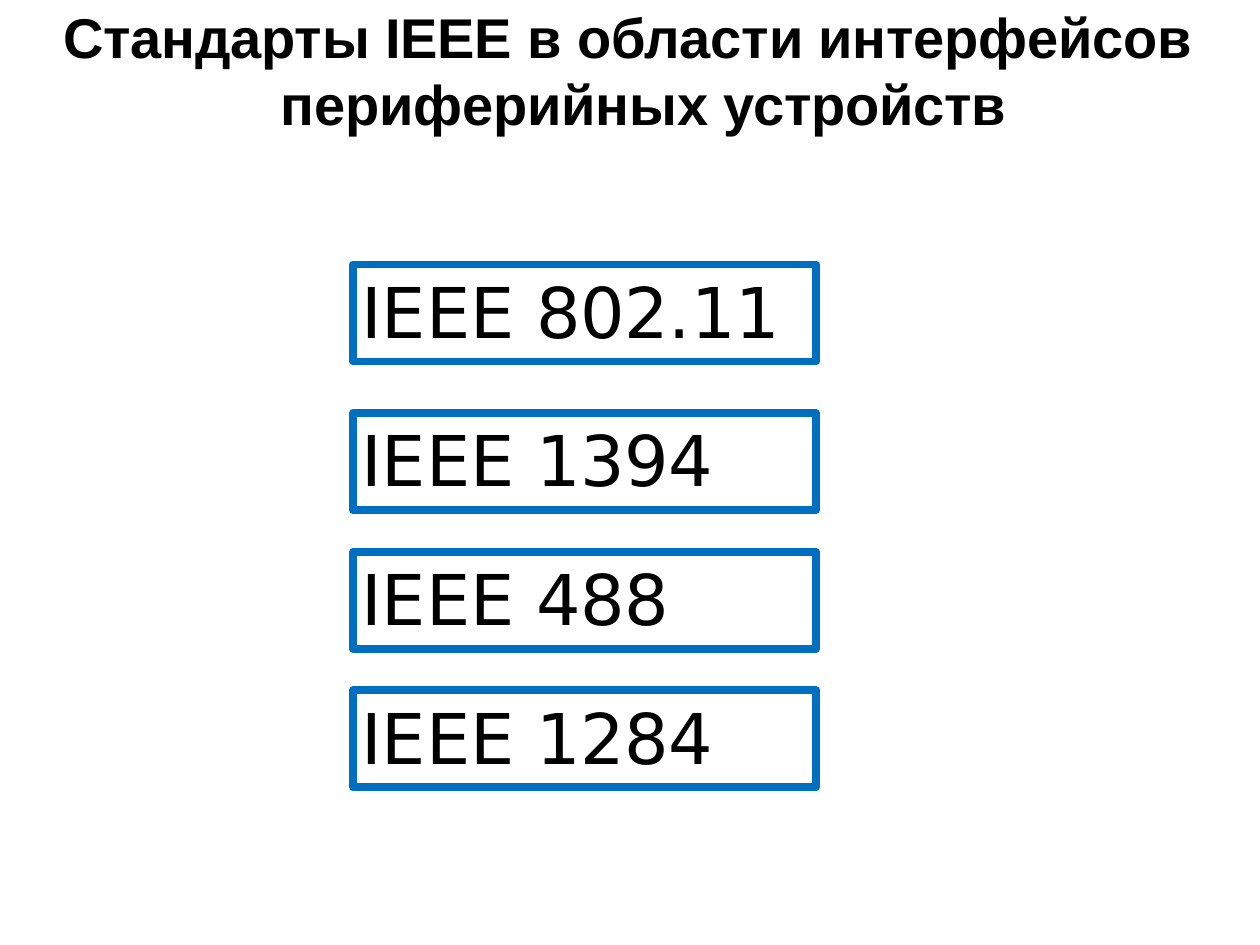
from pptx import Presentation
from pptx.dml.color import RGBColor
from pptx.enum.shapes import MSO_SHAPE
from pptx.enum.text import MSO_ANCHOR, PP_ALIGN
from pptx.util import Inches, Pt

RECT = MSO_SHAPE.RECTANGLE
TOP = MSO_ANCHOR.TOP
LEFT = PP_ALIGN.LEFT
BLACK = RGBColor(0x00, 0x00, 0x00)
BLUE = RGBColor(0x00, 0x6F, 0xC0)

TITLE = "Стандарты IEEE в области интерфейсов периферийных устройств"
TITLE_FONT = {"name": "Arial", "size": Pt(32), "bold": True}
CARD_FONT = {"name": "DejaVu Sans", "size": Pt(40), "bold": False}
CARDS = [
    ("IEEE 802.11", 2.1),
    ("IEEE 1394", 3.28),
    ("IEEE 488", 4.38),
    ("IEEE 1284", 5.48),
]
CARD_X, CARD_W, CARD_H = 2.8, 3.68, 0.77


def write(shape, text, style, margin, indent=0, inset=0):
    """Fill a shape with one left-aligned paragraph; lengths in inches."""
    frame = shape.text_frame
    layout = {
        "word_wrap": True, "vertical_anchor": TOP,
        "margin_left": 0, "margin_right": 0,
        "margin_top": Inches(inset), "margin_bottom": 0,
    }
    for key, value in layout.items():
        setattr(frame, key, value)
    para = frame.paragraphs[0]
    para.alignment = LEFT
    props = para._p.get_or_add_pPr()
    props.set("marL", str(Inches(margin)))
    props.set("indent", str(Inches(indent)))
    run = para.add_run()
    run.text = text
    for key, value in style.items():
        setattr(run.font, key, value)
    run.font.color.rgb = BLACK
    run._r.get_or_add_rPr().set("spc", "-10")


def add_card(slide, text, top):
    card = slide.shapes.add_shape(
        RECT, Inches(CARD_X), Inches(top), Inches(CARD_W), Inches(CARD_H))
    card.shadow.inherit = False
    card.fill.background()
    card.line.color.rgb = BLUE
    card.line.width = Pt(4.5)
    write(card, text, CARD_FONT, margin=0.07, inset=0.03)


def main():
    deck = Presentation()
    deck.slide_width, deck.slide_height = Inches(10), Inches(7.5)
    slide = deck.slides.add_slide(deck.slide_layouts[6])
    title = slide.shapes.add_textbox(
        Inches(0.49), Inches(0.02), Inches(9.03), Inches(1.08))
    write(title, TITLE, TITLE_FONT, margin=1.74, indent=-1.73)
    for text, top in CARDS:
        add_card(slide, text, top)
    deck.save("out.pptx")


if __name__ == "__main__":
    main()
